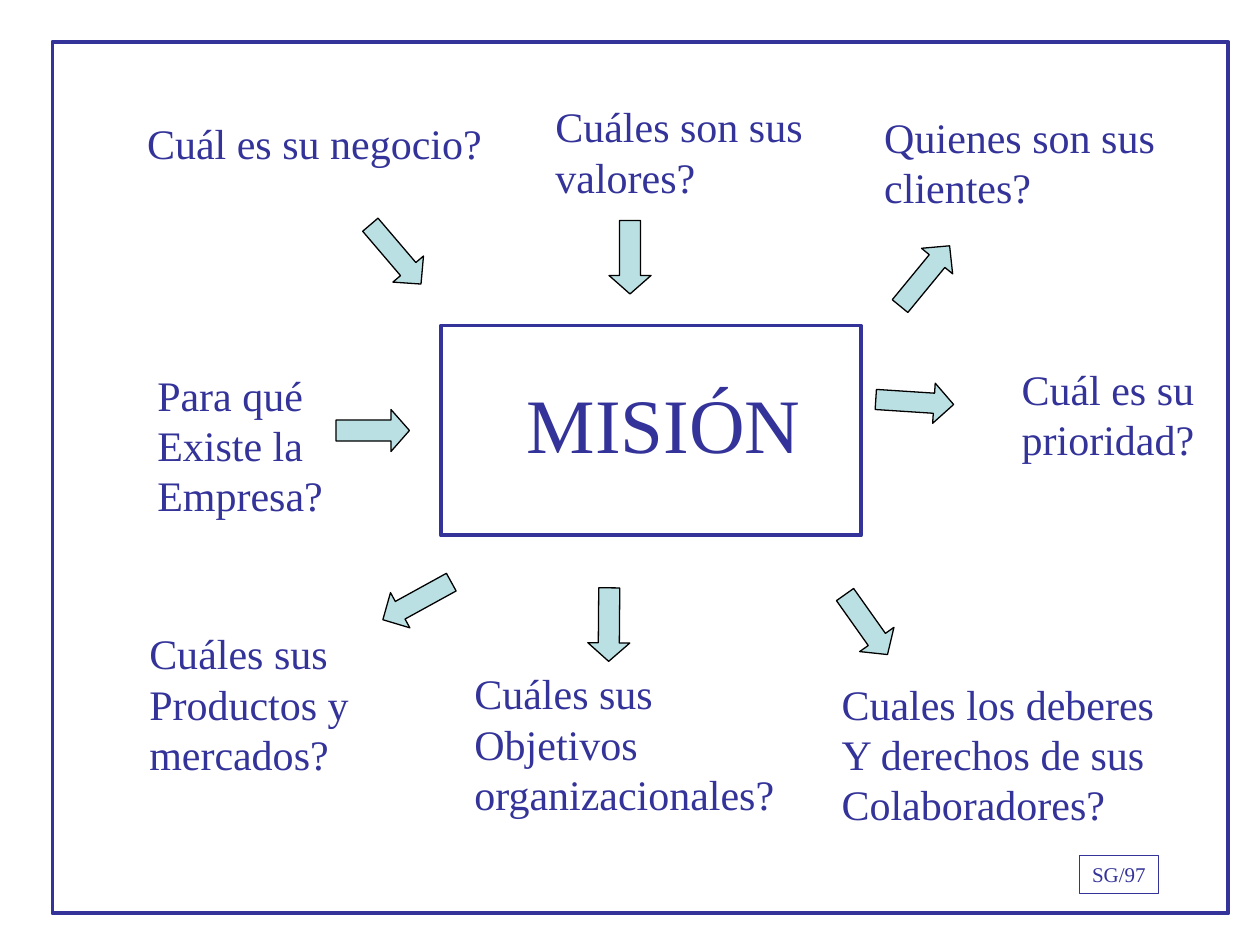
from pptx import Presentation
from pptx.dml.color import RGBColor
from pptx.enum.shapes import MSO_SHAPE
from pptx.enum.text import MSO_ANCHOR, MSO_AUTO_SIZE, PP_ALIGN
from pptx.util import Pt

THEME = {
    "ink": RGBColor.from_string("333399"),
    "arrow": RGBColor.from_string("BBE0E3"),
    "outline": RGBColor.from_string("000000"),
    "font": "Times New Roman",
    "title": Pt(44),
    "question": Pt(24),
    "credit": Pt(12),
}
FRAME_FORMAT = {
    "word_wrap": False,
    "auto_size": MSO_AUTO_SIZE.NONE,
    "vertical_anchor": MSO_ANCHOR.TOP,
    "margin_left": Pt(7.2),
    "margin_right": Pt(7.2),
    "margin_top": Pt(3.6),
    "margin_bottom": Pt(3.6),
}


def add_outline(kind, place, color, weight, fill=None):
    shape = page.shapes.add_shape(kind, *map(Pt, place))
    shape.shadow.inherit = False
    if fill is None:
        shape.fill.background()
    else:
        shape.fill.solid()
        shape.fill.fore_color.rgb = fill
    shape.line.color.rgb = color
    shape.line.width = Pt(weight)
    return shape


def write_lines(box, lines, size):
    frame = box.text_frame
    for name, value in FRAME_FORMAT.items():
        setattr(frame, name, value)
    for index, line in enumerate(lines):
        para = frame.paragraphs[0] if index == 0 else frame.add_paragraph()
        para.alignment = PP_ALIGN.LEFT
        span = para.add_run()
        span.text = line
        span.font.color.rgb = THEME["ink"]
        for name, value in {"name": THEME["font"], "size": size}.items():
            setattr(span.font, name, value)


deck = Presentation()
deck.slide_width, deck.slide_height = Pt(720), Pt(540)
page = deck.slides.add_slide(deck.slide_layouts[6])

add_outline(MSO_SHAPE.RECTANGLE, (252, 186, 240, 120), THEME["ink"], 2.25)
mission = page.shapes.add_textbox(Pt(294), Pt(211.7), Pt(170.6), Pt(60.5))
write_lines(mission, ["MISIÓN"], THEME["title"])
add_outline(MSO_SHAPE.RECTANGLE, (30, 24, 672, 498), THEME["ink"], 2.25)
credit = add_outline(MSO_SHAPE.RECTANGLE, (617, 488.9, 44.9, 21.6), THEME["ink"], 0.75)
write_lines(credit, ["SG/97"], THEME["credit"])

questions = [
    (77, 63.4, 205.2, ["Cuál es su negocio?"]),
    (310.3, 54, 155.5, ["Cuáles son sus", "valores?"]),
    (498.2, 60, 169.2, ["Quienes son sus", "clientes?"]),
    (576.7, 204, 118.8, ["Cuál es su", "prioridad?"]),
    (473.8, 384, 193, ["Cuales los deberes", "Y derechos de sus", "Colaboradores?"]),
    (82.8, 207.4, 108.7, ["Para qué", "Existe la", "Empresa?"]),
    (78.2, 355.2, 128.2, ["Cuáles sus", "Productos y", "mercados?"]),
    (264, 378, 186.5, ["Cuáles sus", "Objetivos", "organizacionales?"]),
]
for left, top, width, lines in questions:
    height = 7.2 + 28.8 * len(lines)
    box = page.shapes.add_textbox(Pt(left), Pt(top), Pt(width), Pt(height))
    write_lines(box, lines, THEME["question"])

short, long = (42, 24, 0.44), (44.6, 23, 0.49)
right, down = MSO_SHAPE.RIGHT_ARROW, MSO_SHAPE.DOWN_ARROW
arrows = [
    (right, 192, 234, short, 0),
    (right, 203.8, 133.9, long, 49.5),
    (down, 348, 126, (24, 42, 0.44), 0),
    (right, 506.2, 146.2, long, 309.4),
    (right, 500.4, 218.2, long, 3.7),
    (right, 216, 331.9, long, 151.2),
    (right, 474, 344.9, short, 54.7),
    (right, 327, 344.9, short, 90.5),
]
for kind, left, top, (width, height, head), turn in arrows:
    place = (left, top, width, height)
    arrow = add_outline(kind, place, THEME["outline"], 0.75, THEME["arrow"])
    arrow.adjustments[1] = head
    arrow.rotation = turn

deck.save("out.pptx")
